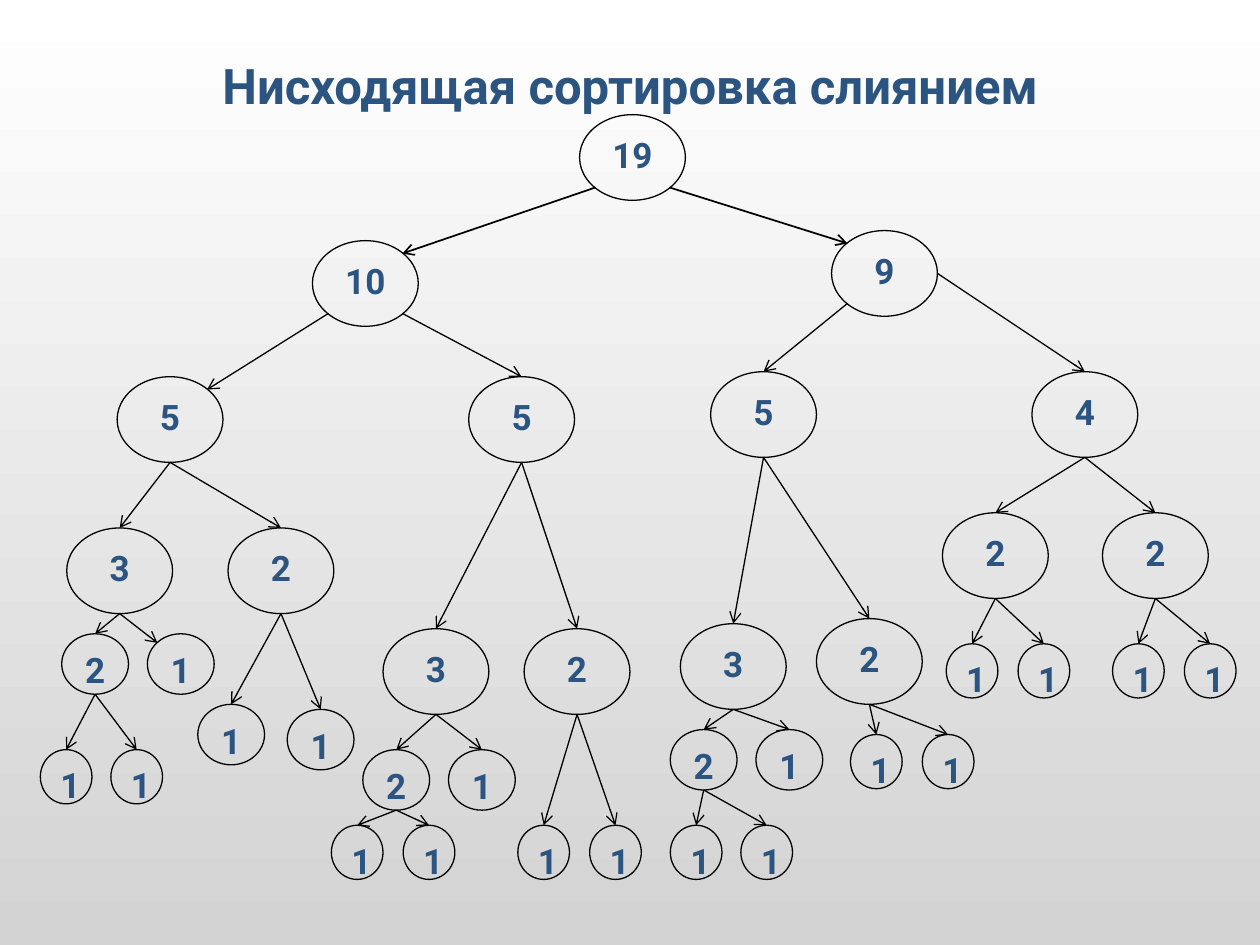
from lxml import etree
from pptx import Presentation
from pptx.dml.color import RGBColor
from pptx.enum.shapes import MSO_CONNECTOR, MSO_SHAPE
from pptx.enum.text import MSO_ANCHOR, PP_ALIGN
from pptx.oxml.ns import qn
from pptx.util import Inches, Pt

OVAL = MSO_SHAPE.OVAL
LINE = MSO_CONNECTOR.STRAIGHT
TOP, MIDDLE = MSO_ANCHOR.TOP, MSO_ANCHOR.MIDDLE
CENTER = PP_ALIGN.CENTER

# Grid: fine columns from the left edge, rows down from the root's top
COL, ROW, START = Inches(0.01), Inches(0.04), Inches(0.91)
BIG, MID, TINY = (84, 17), (53, 12), (41, 10.75)

# Points on an oval, as shares of its box
N, S, E = (0.5, 0), (0.5, 1), (1, 0.5)
NW, NE, SW, SE = (0.15, 0.15), (0.85, 0.15), (0.15, 0.85), (0.85, 0.85)


def color(code):
    return RGBColor.from_string(code)


def write(shape, text, size, anchor):
    frame = shape.text_frame
    frame.word_wrap = True
    frame.vertical_anchor = anchor
    para = frame.paragraphs[0]
    para.text = text
    para.alignment = CENTER
    font = para.font
    font.name, font.size, font.bold = "Roboto", Pt(size), True
    font.color.rgb = color("2B5481")


deck = Presentation()
deck.slide_width, deck.slide_height = Inches(10), Inches(7.5)
wide, high = deck.slide_width, deck.slide_height
slide = deck.slides.add_slide(deck.slide_layouts[6])
shapes = slide.shapes

# Background, white at the top to grey
fill = slide.background.fill
fill.gradient()
fill.gradient_angle = 270
for stop, code, place in zip(fill.gradient_stops, ("FFFFFF", "D3D3D3"), (0, 1)):
    stop.color.rgb = color(code)
    stop.position = place

# Title
title = shapes.add_textbox(int(wide * 0.05), int(high * 0.056),
                           int(wide * 0.9), int(high * 0.067))
write(title, "Нисходящая сортировка слиянием", 28, MIDDLE)

# Nodes: label, column, row, size, and the number of the parent node
nodes = [
    ("19", 460, 0, BIG, None),
    ("10", 248, 25, BIG, 0), ("9", 660, 23, BIG, 0),
    ("5", 93, 52, BIG, 1), ("5", 372, 52, BIG, 1),
    ("5", 564, 51, BIG, 2), ("4", 819, 51, BIG, 2),
    ("3", 53, 82, BIG, 3), ("2", 181, 82, BIG, 3),
    ("3", 304, 102, BIG, 4), ("2", 416, 102, BIG, 4),
    ("3", 540, 101, BIG, 5), ("2", 648, 100, BIG, 5),
    ("2", 748, 79, BIG, 6), ("2", 875, 79, BIG, 6),
    ("2", 49, 103, MID, 7), ("1", 117, 103, MID, 7),
    ("1", 157, 117, MID, 8), ("1", 228, 118, MID, 8),
    ("1", 32, 126, TINY, 15), ("1", 88, 126, TINY, 15),
    ("2", 288, 126, MID, 9), ("1", 356, 126, MID, 9),
    ("1", 263, 141, TINY, 21), ("1", 320, 141, TINY, 21),
    ("1", 411, 141, TINY, 10), ("1", 468, 141, TINY, 10),
    ("2", 532, 122, MID, 11), ("1", 600, 122, MID, 11),
    ("1", 532, 141, TINY, 27), ("1", 588, 141, TINY, 27),
    ("1", 675, 123, TINY, 12), ("1", 732, 123, TINY, 12),
    ("1", 751, 105, TINY, 13), ("1", 808, 105, TINY, 13),
    ("1", 883, 105, TINY, 14), ("1", 940, 105, TINY, 14),
]
# Links that do not run from bottom to top, by child number
bends = {1: (SW, NE), 2: (SE, NW), 3: (SW, NE), 4: (SE, N),
         5: (SW, N), 6: (E, N), 16: (S, NW)}

# Ovals
ovals = []
for text, col, row, (cols, rows), _ in nodes:
    oval = shapes.add_shape(OVAL, col * COL, START + row * ROW,
                            cols * COL, int(rows * ROW))
    oval.shadow.inherit = False
    oval.fill.background()
    oval.line.color.rgb = color("000000")
    oval.line.width = Pt(0.75)
    write(oval, text, 20, TOP)
    ovals.append(oval)

# Arrows from parent to child
for num, node in enumerate(nodes):
    above = node[-1]
    if above is None:
        continue
    ends = []
    for oval, (x, y) in zip((ovals[above], ovals[num]), bends.get(num, (S, N))):
        ends += [int(oval.left + x * oval.width), int(oval.top + y * oval.height)]
    link = shapes.add_connector(LINE, *ends)
    link.line.color.rgb = color("000000")
    link.line.width = Pt(1 if above == 0 else 0.75)
    etree.SubElement(link.line._get_or_add_ln(), qn("a:tailEnd"), type="arrow")
    etree.SubElement(link._element.spPr, qn("a:effectLst"))

deck.save("out.pptx")
